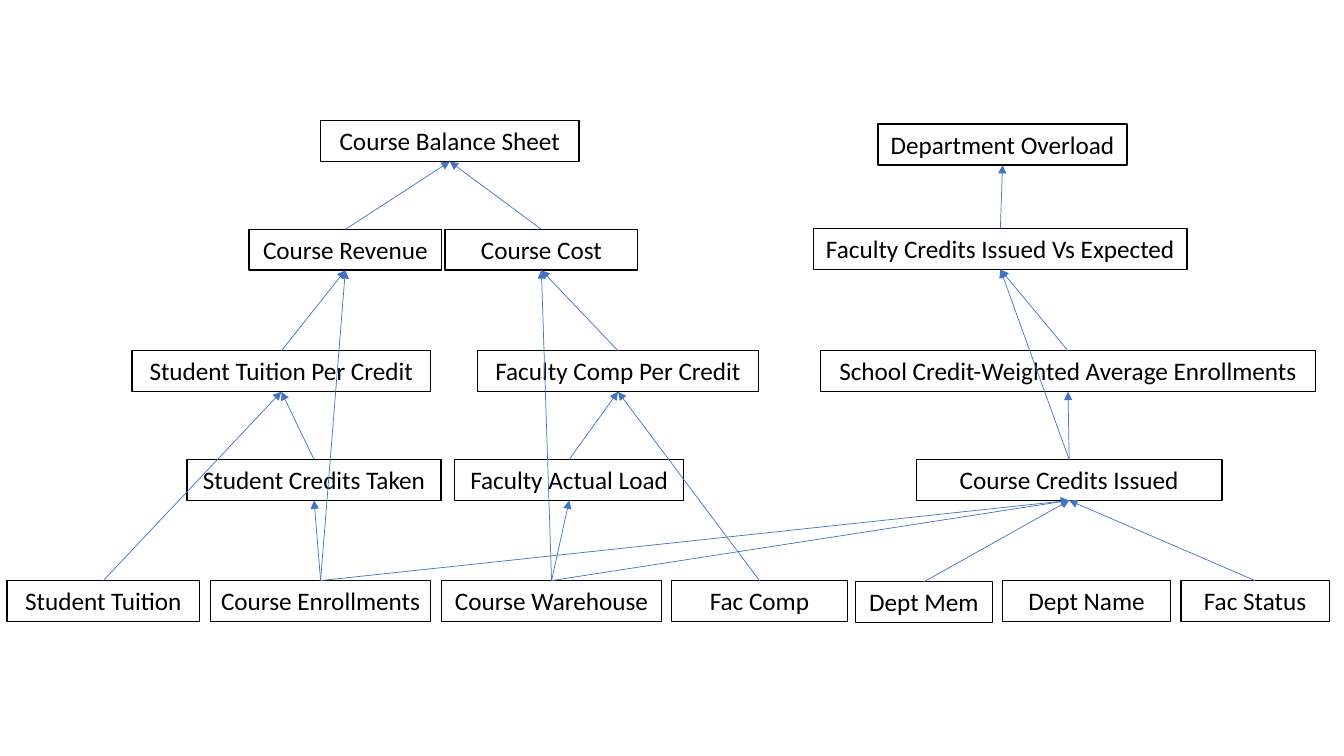
from lxml.etree import SubElement
from pptx import Presentation
from pptx.dml.color import RGBColor
from pptx.enum.shapes import MSO_CONNECTOR, MSO_SHAPE
from pptx.enum.text import MSO_ANCHOR, PP_ALIGN
from pptx.oxml.ns import qn
from pptx.util import Cm, Pt

# Each row: top, then (label, left, width) of its boxes, all in cm
ROWS = [
    (14.63, [("Student Tuition", 0.18, 4.85),
             ("Course Enrollments", 5.31, 5.54),
             ("Course Warehouse", 11.13, 5.54),
             ("Fac Comp", 16.92, 4.44),
             ("Dept Name", 25.27, 4.23),
             ("Fac Status", 29.76, 3.74)]),
    (14.66, [("Dept Mem", 21.56, 3.45)]),
    (11.58, [("Student Credits Taken", 4.71, 6.41),
             ("Faculty Actual Load", 11.46, 5.77),
             ("Course Credits Issued", 23.09, 7.71)]),
    (8.84, [("Student Tuition Per Credit", 3.33, 7.52),
            ("Faculty Comp Per Credit", 12.03, 7.09),
            ("School Credit-Weighted Average Enrollments", 20.68, 12.47)]),
    (5.78, [("Course Revenue", 6.28, 4.85),
            ("Course Cost", 11.22, 4.85)]),
    (5.76, [("Faculty Credits Issued Vs Expected", 20.5, 9.42)]),
    (3.04, [("Course Balance Sheet", 8.08, 6.51)]),
    (3.13, [("Department Overload", 22.13, 6.27)]),
]
# Each target with the sources that feed it
FEEDS = {
    "Student Credits Taken": ["Course Enrollments"],
    "Faculty Actual Load": ["Course Warehouse"],
    "Course Credits Issued": ["Course Enrollments", "Course Warehouse",
                              "Dept Mem", "Fac Status"],
    "Student Tuition Per Credit": ["Student Tuition",
                                   "Student Credits Taken"],
    "Faculty Comp Per Credit": ["Faculty Actual Load", "Fac Comp"],
    "School Credit-Weighted Average Enrollments": ["Course Credits Issued"],
    "Course Revenue": ["Student Tuition Per Credit", "Course Enrollments"],
    "Course Cost": ["Faculty Comp Per Credit", "Course Warehouse"],
    "Faculty Credits Issued Vs Expected": [
        "School Credit-Weighted Average Enrollments",
        "Course Credits Issued"],
    "Course Balance Sheet": ["Course Revenue", "Course Cost"],
    "Department Overload": ["Faculty Credits Issued Vs Expected"],
}
HIGH = 1.03
TOP, BOTTOM = 0, 2  # connection sites of a rectangle


def paint(part, hue):
    """Give a fill, line or font colour format a hex colour."""
    part.rgb = RGBColor.from_string(hue)


def write(shape, text, size=18, font="Calibri", hue="000000",
          align=PP_ALIGN.CENTER):
    """Put one formatted line of text into a shape."""
    frame = shape.text_frame
    frame.word_wrap = False
    frame.vertical_anchor = MSO_ANCHOR.TOP
    para = frame.paragraphs[0]
    para.alignment = align
    run = para.add_run()
    run.text = text
    run.font.size = Pt(size)
    run.font.name = font
    paint(run.font.color, hue)


def add_box(text, left, top, width):
    """Draw a white box with a black outline and its label."""
    box = slide.shapes.add_shape(MSO_SHAPE.RECTANGLE, Cm(left), Cm(top),
                                 Cm(width), Cm(HIGH))
    box.shadow.inherit = False
    box.fill.solid()
    paint(box.fill.fore_color, "FFFFFF")
    paint(box.line.color, "000000")
    box.line.width = Pt(1)
    write(box, text)
    return box


def add_arrow(start, end):
    """Link the top of one box to the bottom of another."""
    link = slide.shapes.add_connector(
        MSO_CONNECTOR.STRAIGHT, start.left + start.width // 2, start.top,
        end.left + end.width // 2, end.top + end.height)
    link.begin_connect(start, TOP)
    link.end_connect(end, BOTTOM)
    paint(link.line.color, "4472C4")
    link.line.width = Pt(0.5)
    props = link._element.spPr
    SubElement(props.find(qn("a:ln")), qn("a:tailEnd"), type="triangle")
    SubElement(props, qn("a:effectLst"))


deck = Presentation()
deck.slide_width, deck.slide_height = Cm(33.87), Cm(19.05)
slide = deck.slides.add_slide(deck.slide_layouts[6])

boxes = {text: add_box(text, left, top, width)
         for top, row in ROWS for text, left, width in row}
for target, sources in FEEDS.items():
    for source in sources:
        add_arrow(boxes[source], boxes[target])

deck.save("out.pptx")
